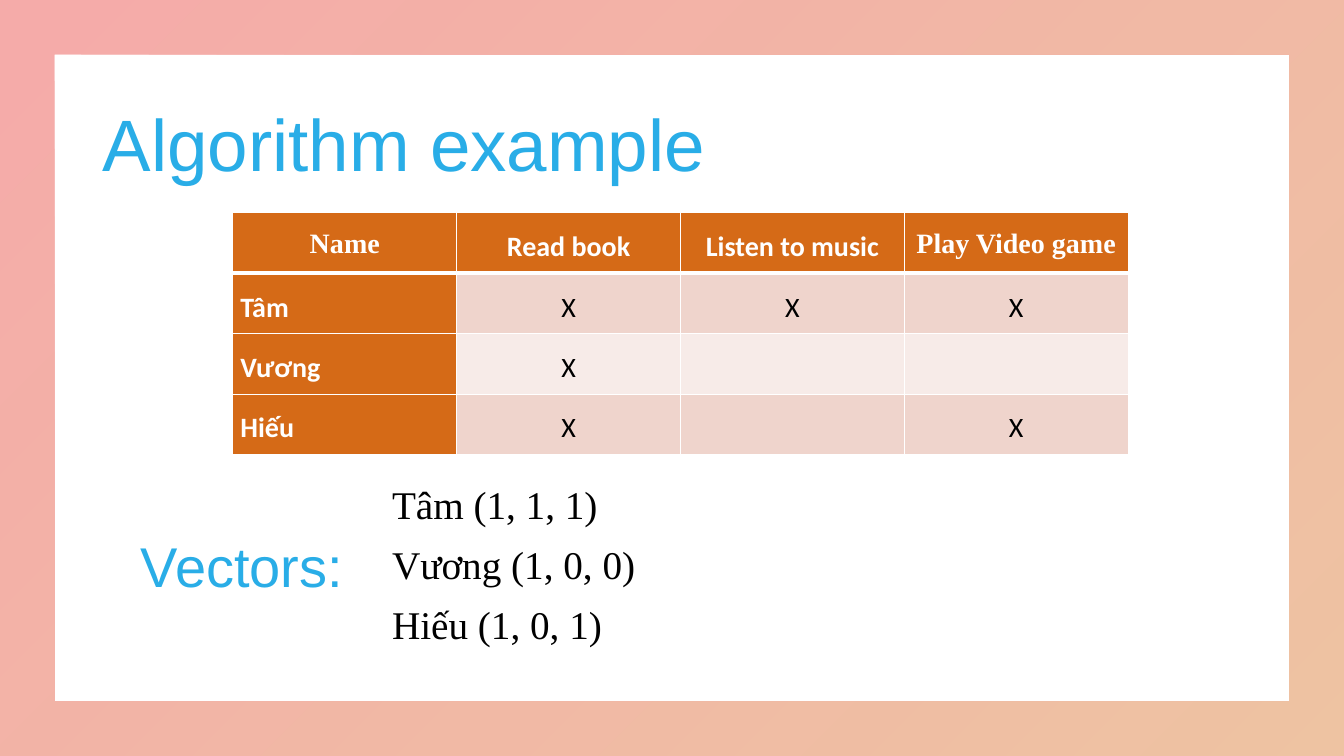
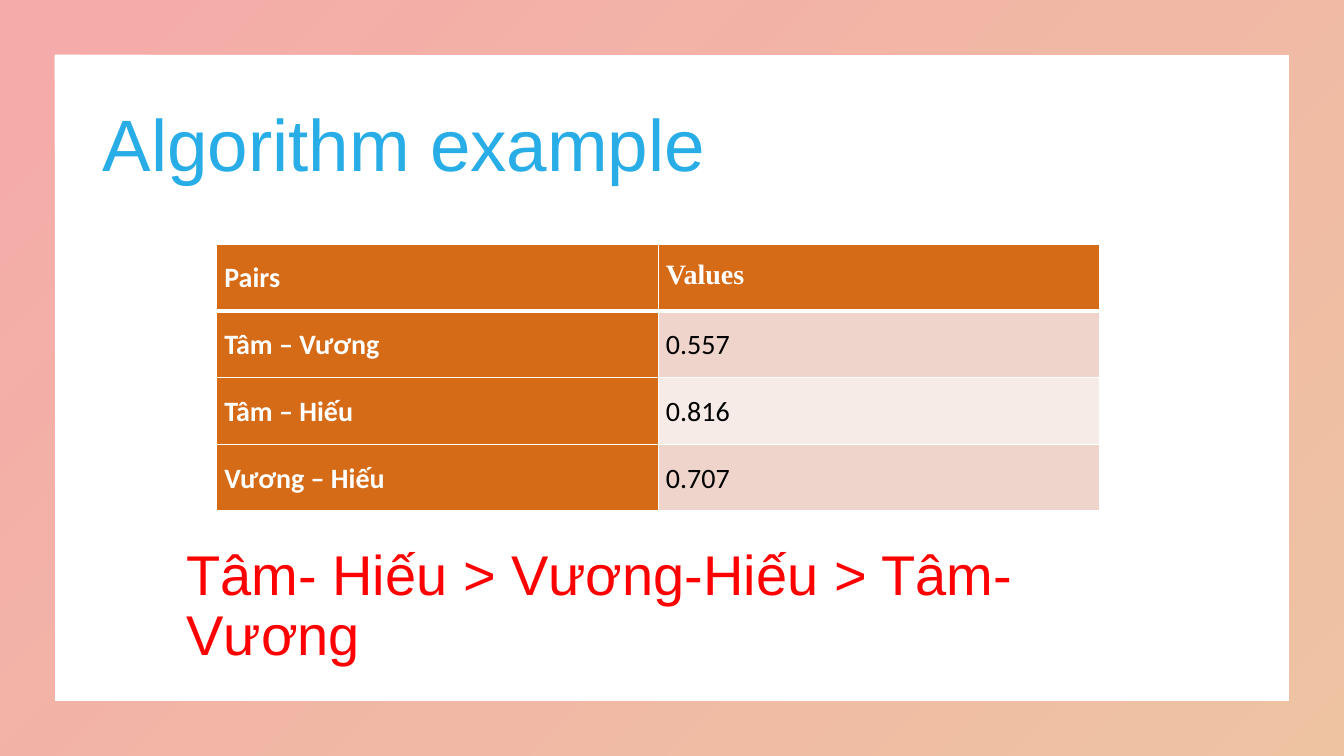
import dataclasses

import lxml.etree
import pptx
import pptx.dml.color
import pptx.enum.shapes
import pptx.enum.text
import pptx.oxml
import pptx.oxml.ns
import pptx.util
from pptx.util import Inches

ALIGN = pptx.enum.text.PP_ALIGN
ANCHOR = pptx.enum.text.MSO_ANCHOR

BLUE, ORANGE, RED = "29ADE7", "D56A17", "FF0000"
BLACK, WHITE = "000000", "FFFFFF"
BANDS = ("EFD4CC", "F7EBE8")
FRAME_COLORS = ("E72D29", ORANGE)
FRAME_OPACITY = 40
SANS, SERIF, TABLE_FONT = "Arial", "Times New Roman", "Calibri"


@dataclasses.dataclass(frozen=True)
class Box:
    left: float
    top: float
    width: float
    height: float

    def lengths(self) -> tuple:
        return tuple(Inches(v) for v in dataclasses.astuple(self))


@dataclasses.dataclass(frozen=True)
class TextStyle:
    size: float
    font: str
    color: str
    bold: bool = False
    align: ALIGN = ALIGN.LEFT
    spacing: float = 1.0


@dataclasses.dataclass(frozen=True)
class TableSpec:
    box: Box
    rows: tuple[tuple[str, ...], ...]
    serif_headers: tuple[str, ...]
    header_align: ALIGN
    value_align: ALIGN


TITLE_BOX = Box(0.92, 0.74, 11.5, 1.45)
TITLE = TextStyle(52, SANS, BLUE, spacing=0.9)
LABEL = TextStyle(40, SANS, BLUE, spacing=0.9)
RESULT = dataclasses.replace(LABEL, color=RED)
VECTOR = TextStyle(28, SERIF, BLACK)

HOBBIES = TableSpec(
    Box(2.31, 2.11, 8.88, 2.4),
    (("Name", "Read book", "Listen to music", "Play Video game"),
     ("Tâm", "X", "X", "X"),
     ("Vương", "X", "", ""),
     ("Hiếu", "X", "", "X")),
    ("Name", "Play Video game"), ALIGN.CENTER, ALIGN.CENTER)
SIMILARITY = TableSpec(
    Box(2.15, 2.42, 8.76, 2.65),
    (("Pairs", "Values"),
     ("Tâm – Vương", "0.557"),
     ("Tâm – Hiếu", "0.816"),
     ("Vương – Hiếu", "0.707")),
    ("Values",), ALIGN.JUSTIFY, ALIGN.JUSTIFY)
VECTORS = ("Tâm (1, 1, 1)", "Vương (1, 0, 0)", "Hiếu (1, 0, 1)")


def rgb(color: str) -> pptx.dml.color.RGBColor:
    return pptx.dml.color.RGBColor.from_string(color)


def write(tf, text: str, style: TextStyle) -> None:
    tf.text = text
    p = tf.paragraphs[0]
    p.alignment = style.align
    p.line_spacing = style.spacing
    p.font.size = pptx.util.Pt(style.size)
    p.font.name = style.font
    p.font.bold = style.bold
    p.font.color.rgb = rgb(style.color)


def add_text(slide, box: Box, text: str, style: TextStyle,
             anchor: ANCHOR = ANCHOR.TOP) -> None:
    tf = slide.shapes.add_textbox(*box.lengths()).text_frame
    tf.word_wrap = True
    tf.vertical_anchor = anchor
    write(tf, text, style)


def add_frame(prs, slide, layout) -> None:
    """Draw the translucent gradient frame and move it to the back of the layout."""
    sp = slide.shapes.add_shape(pptx.enum.shapes.MSO_SHAPE.FRAME, 0, 0,
                                prs.slide_width, prs.slide_height)
    sp.adjustments[0] = 0.072
    sp.shadow.inherit = False
    sp.line.fill.background()
    sp.fill.gradient()
    sp.fill.gradient_angle = 315
    for stop, color in zip(sp.fill.gradient_stops, FRAME_COLORS):
        stop.color.rgb = rgb(color)
    for clr in sp._element.spPr.iter(pptx.oxml.ns.qn("a:srgbClr")):
        lxml.etree.SubElement(clr, pptx.oxml.ns.qn("a:alpha"),
                              val=str(FRAME_OPACITY * 1000))
    layout.shapes._spTree.insert(2, sp._element)


def add_title(slide, text: str) -> None:
    sp = slide.shapes.title
    sp.left, sp.top, sp.width, sp.height = TITLE_BOX.lengths()
    tf = sp.text_frame
    tf.vertical_anchor = ANCHOR.MIDDLE
    tf.auto_size = pptx.enum.text.MSO_AUTO_SIZE.NONE
    write(tf, text, TITLE)


def set_borders(cell, top: float, bottom: float) -> None:
    """Give the cell white borders, 1 pt wide at the sides."""
    tc_pr = cell._tc.get_or_add_tcPr()
    for i, (side, width) in enumerate(zip("LRTB", (1, 1, top, bottom))):
        tc_pr.insert(i, pptx.oxml.parse_xml(
            f'<a:ln{side} {pptx.oxml.ns.nsdecls("a")} w="{pptx.util.Pt(width)}">'
            f'<a:solidFill><a:srgbClr val="{WHITE}"/></a:solidFill></a:ln{side}>'))


def add_table(slide, spec: TableSpec) -> None:
    n_rows, n_cols = len(spec.rows), len(spec.rows[0])
    table = slide.shapes.add_table(n_rows, n_cols, *spec.box.lengths()).table
    table.horz_banding = False
    for r, row in enumerate(spec.rows):
        for c, text in enumerate(row):
            cell = table.cell(r, c)
            is_header = r == 0
            strong = is_header or c == 0
            cell.margin_left = cell.margin_right = pptx.util.Pt(5.4)
            cell.margin_top = cell.margin_bottom = 0
            cell.fill.solid()
            cell.fill.fore_color.rgb = rgb(ORANGE if strong else BANDS[(r - 1) % 2])
            set_borders(cell, 3 if r == 1 else 1, 3 if is_header else 1)
            if is_header:
                align = spec.header_align
            else:
                align = ALIGN.JUSTIFY if c == 0 else spec.value_align
            font = SERIF if is_header and text in spec.serif_headers else TABLE_FONT
            write(cell.text_frame, text,
                  TextStyle(20, font, WHITE if strong else BLACK, strong, align, 1.5))


def main() -> None:
    prs = pptx.Presentation()
    prs.slide_width, prs.slide_height = Inches(13.33), Inches(7.5)
    layout = prs.slide_layouts[5]
    hobbies, similarity = (prs.slides.add_slide(layout) for _ in range(2))
    add_frame(prs, hobbies, layout)
    for slide in (hobbies, similarity):
        add_title(slide, "Algorithm example")

    add_table(hobbies, HOBBIES)
    for i, vector in enumerate(VECTORS):
        add_text(hobbies, Box(3.79, 4.72 + 0.595 * i, 6.67, 0.57), vector, VECTOR)
    add_text(hobbies, Box(1.3, 5.29, 2.24, 0.72), "Vectors:", LABEL, ANCHOR.MIDDLE)

    add_table(similarity, SIMILARITY)
    add_text(similarity, Box(1.75, 5.3, 9.55, 1.45),
             "Tâm- Hiếu > Vương-Hiếu > Tâm-Vương", RESULT, ANCHOR.MIDDLE)
    prs.save("out.pptx")


if __name__ == "__main__":
    main()
